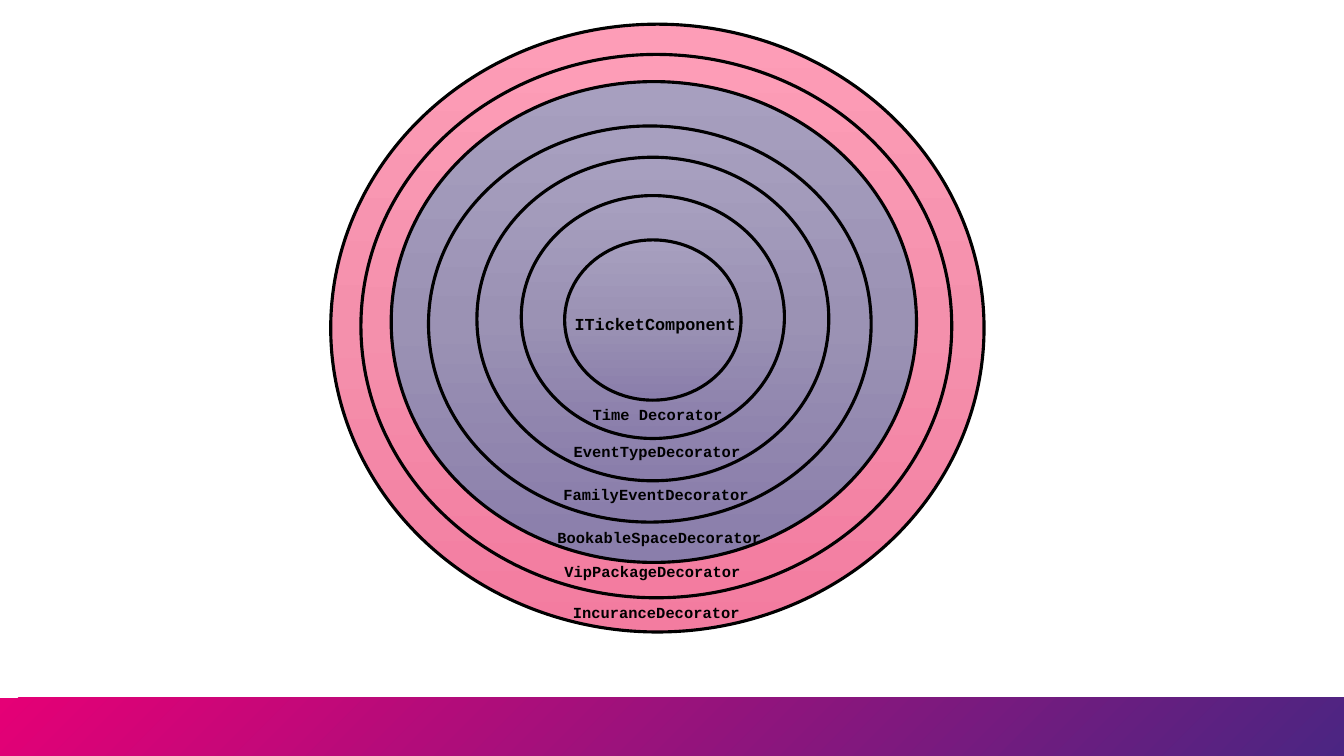
"""Build a slide of nested decorator rings around a ticket component."""
import copy

import pptx
import pptx.dml.color
import pptx.enum.shapes
import pptx.enum.text
import pptx.oxml.ns
import pptx.util

COLUMNS, ROWS = 1333, 750
CELL = pptx.util.Inches(0.01)
SHAPES = pptx.enum.shapes.MSO_SHAPE
ALIGN = pptx.enum.text.PP_ALIGN
PINK = ["FD9DB7", "F490AC", "F37CA0"]
VIOLET = ["A79FBF", "9B92B4", "8A7EAB"]


def color(code):
    return pptx.dml.color.RGBColor.from_string(code)


def add_gradient_shape(page, kind, cells, codes, angle):
    shape = page.shapes.add_shape(kind, *[cell * CELL for cell in cells])
    shape.shadow.inherit = False
    shape.fill.gradient()
    shape.fill.gradient_angle = angle
    stops = shape.element.spPr.find(".//" + pptx.oxml.ns.qn("a:gsLst"))
    for extra in codes[2:]:
        stops.append(copy.deepcopy(stops[0]))
    for index, (stop, code) in enumerate(zip(shape.fill.gradient_stops, codes)):
        stop.position = index / (len(codes) - 1)
        stop.color.rgb = color(code)
    return shape


deck = pptx.Presentation()
deck.slide_width = COLUMNS * CELL
deck.slide_height = ROWS * CELL
page = deck.slides.add_slide(deck.slide_layouts[6])

footer = add_gradient_shape(
    page, SHAPES.RECTANGLE, (0, 692, COLUMNS, ROWS - 692), ["E50076", "4B2582"], 315)
footer.line.fill.background()

rings = [
    ((328, 24, 648, 603), PINK),
    ((358, 54, 586, 539), PINK),
    ((388, 81, 521, 477), VIOLET),
    ((425, 125, 439, 393), VIOLET),
    ((473, 156, 349, 321), VIOLET),
    ((517, 194, 261, 241), VIOLET),
    ((560, 238, 175, 159), VIOLET),
]
for cells, codes in rings:
    ring = add_gradient_shape(page, SHAPES.OVAL, cells, codes, 270)
    ring.line.color.rgb = color("000000")
    ring.line.width = pptx.util.Pt(2.25)

labels = [
    ("IncuranceDecorator", (549, 593, 204, 35), 11, ALIGN.CENTER),
    ("VipPackageDecorator", (550, 553, 216, 61), 11, ALIGN.LEFT),
    ("ITicketComponent", (560, 306, 182, 61), 12, ALIGN.LEFT),
    ("EventTypeDecorator", (559, 434, 232, 59), 11, ALIGN.LEFT),
    ("Time Decorator", (578, 397, 213, 59), 11, ALIGN.LEFT),
    ("FamilyEventDecorator", (549, 476, 204, 60), 11, ALIGN.LEFT),
    ("BookableSpaceDecorator", (543, 519, 228, 59), 11, ALIGN.LEFT),
]
for text, cells, size, alignment in labels:
    box = page.shapes.add_textbox(*[cell * CELL for cell in cells])
    box.text_frame.word_wrap = True
    para = box.text_frame.paragraphs[0]
    para.alignment = alignment
    span = para.add_run()
    span.text = text
    span.font.color.rgb = color("000000")
    style = {"name": "Courier New", "size": pptx.util.Pt(size), "bold": True}
    for name, value in style.items():
        setattr(span.font, name, value)

deck.save("out.pptx")
